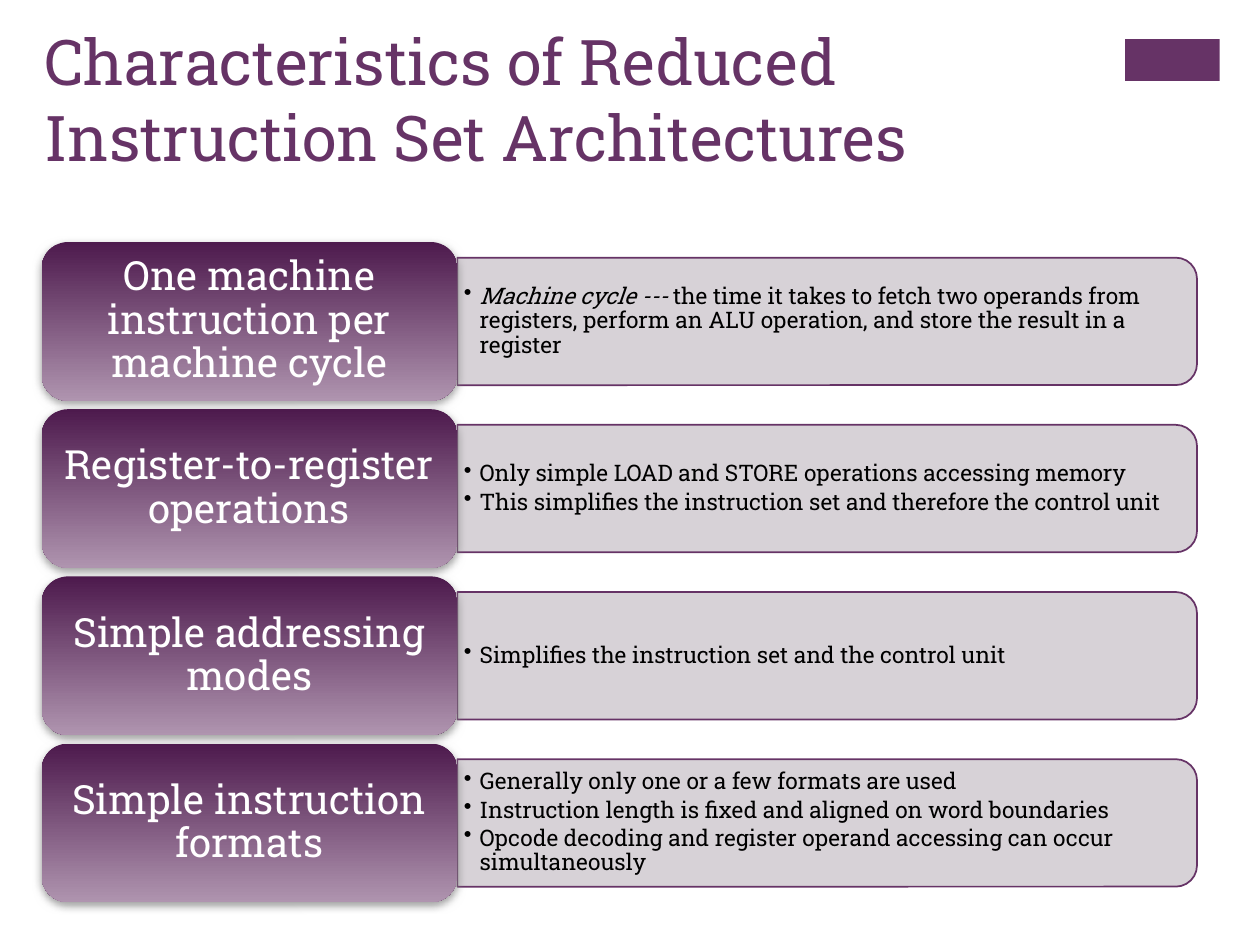
"""Build the slide on the characteristics of reduced instruction set architectures."""
from lxml import etree
from pptx import Presentation
from pptx import util as u
from pptx.dml.color import RGBColor
from pptx.enum import shapes, text
from pptx.oxml import ns

TITLE = "Characteristics of Reduced Instruction Set Architectures"
ROWS = [
    ("One machine instruction per machine cycle",
     [("Machine cycle --- ",
       "the time it takes to fetch two operands from registers, perform an ALU "
       "operation, and store the result in a register")]),
    ("Register-to-register operations",
     [("", "Only simple LOAD and STORE operations accessing memory"),
      ("", "This simplifies the instruction set and therefore the control unit")]),
    ("Simple addressing modes",
     [("", "Simplifies the instruction set and the control unit")]),
    ("Simple instruction formats",
     [("", "Generally only one or a few formats are used"),
      ("", "Instruction length is fixed and aligned on word boundaries"),
      ("", "Opcode decoding and register operand accessing can occur simultaneously")]),
]
THEME = dict(font="Roboto Slab", accent="663366", dark="4D1A4D", light="AF94AF",
             panel="D3CED3", shadow="808080", white="FFFFFF", black="000000",
             title=36, label=23, detail=13)
TOP, PITCH = 4.88, 3.37
LABEL_X, LABEL_W, LABEL_H = 0.84, 8.38, 3.2
PANEL_W, PANEL_H = 14.91, 2.57
TEXT_W, TEXT_H = 14.78, 2.31


def rgb(name):
    return RGBColor.from_string(THEME[name])


def box(*lengths):
    return [u.Cm(v) for v in lengths]


def child(parent, tag, **attrs):
    return etree.SubElement(parent, ns.qn(tag), {k: str(v) for k, v in attrs.items()})


def style(p, size, color):
    for r in p.runs:
        r.font.name, r.font.size = THEME["font"], u.Pt(THEME[size])
        r.font.color.rgb = rgb(color)


def frame(sp, dx, dy):
    tf = sp.text_frame
    tf.word_wrap = True
    tf.auto_size = text.MSO_AUTO_SIZE.NONE
    tf.vertical_anchor = text.MSO_ANCHOR.MIDDLE
    tf.margin_left = tf.margin_right = u.Cm(dx)
    tf.margin_top = tf.margin_bottom = u.Cm(dy)
    return tf


def add_panel(s, middle):
    left = LABEL_X + LABEL_W + (PANEL_W - PANEL_H) / 2
    sp = s.shapes.add_shape(shapes.MSO_SHAPE.ROUND_2_SAME_RECTANGLE,
                            *box(left, middle - PANEL_W / 2, PANEL_H, PANEL_W))
    sp.rotation = 90
    sp.shadow.inherit = False
    sp.fill.solid()
    sp.fill.fore_color.rgb = rgb("panel")
    child(sp.fill._xPr.find(".//" + ns.qn("a:srgbClr")), "a:alpha", val=90000)
    sp.line.color.rgb, sp.line.width = rgb("accent"), u.Pt(1)


def add_details(s, middle, items):
    sp = s.shapes.add_textbox(*box(LABEL_X + LABEL_W, middle - TEXT_H / 2, TEXT_W, TEXT_H))
    tf = frame(sp, 0.13, 0.07)
    for i, (term, body) in enumerate(items):
        p = tf.paragraphs[0] if i == 0 else tf.add_paragraph()
        for words, italic in ((term, True), (body, False)):
            if words:
                r = p.add_run()
                r.text, r.font.italic = words, italic
        style(p, "detail", "black")
        p.line_spacing, p.space_after = 0.9, u.Pt(2)
        pPr = p._p.get_or_add_pPr()
        pPr.set("marL", str(u.Cm(0.32)))
        pPr.set("indent", str(-u.Cm(0.32)))
        child(pPr, "a:buChar", char="•")


def add_label(s, middle, words):
    sp = s.shapes.add_shape(shapes.MSO_SHAPE.ROUNDED_RECTANGLE,
                            *box(LABEL_X, middle - LABEL_H / 2, LABEL_W, LABEL_H))
    sp.line.fill.background()
    sp.fill.gradient()
    sp.fill.gradient_angle = 270
    for stop, name, place in zip(sp.fill.gradient_stops, ("dark", "light"), (0, 1)):
        stop.color.rgb, stop.position = rgb(name), place
    sp.shadow.inherit = False
    effects = sp._element.spPr.find(ns.qn("a:effectLst"))
    shadow = child(effects, "a:outerShdw", blurRad=u.Pt(5), dist=u.Pt(2),
                   dir=5400000, rotWithShape=0)
    child(child(shadow, "a:srgbClr", val=THEME["shadow"]), "a:alpha", val=75000)
    p = frame(sp, 0.25, 0.13).paragraphs[0]
    p.text = words
    p.alignment, p.line_spacing = text.PP_ALIGN.CENTER, 0.9
    style(p, "label", "white")


def main():
    prs = Presentation()
    prs.slide_width, prs.slide_height = box(25.4, 19.05)
    s = prs.slides.add_slide(prs.slide_layouts[5])

    tag = s.shapes.add_shape(shapes.MSO_SHAPE.RECTANGLE, *box(22.68, 0.79, 1.91, 0.84))
    tag.shadow.inherit = False
    tag.fill.solid()
    tag.fill.fore_color.rgb = rgb("accent")
    tag.line.fill.background()

    title = s.shapes.title
    title.left, title.top, title.width, title.height = box(0.64, 0.43, 20.98, 3.1)
    p = frame(title, 0.25, 0.13).paragraphs[0]
    p.text = TITLE
    p.alignment = text.PP_ALIGN.LEFT
    style(p, "title", "accent")

    for i, (label, items) in enumerate(ROWS):
        middle = TOP + LABEL_H / 2 + i * PITCH
        add_panel(s, middle)
        add_details(s, middle, items)
        add_label(s, middle, label)
    prs.save("out.pptx")


if __name__ == "__main__":
    main()
